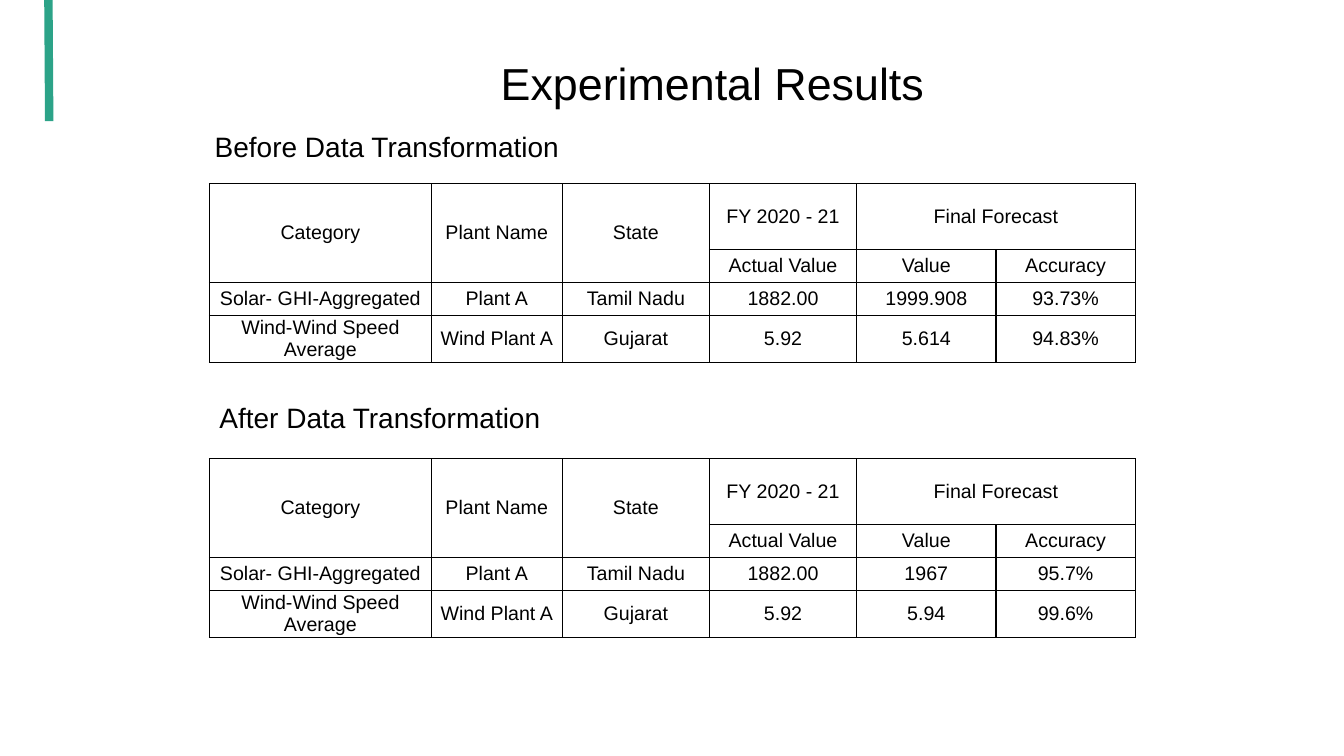
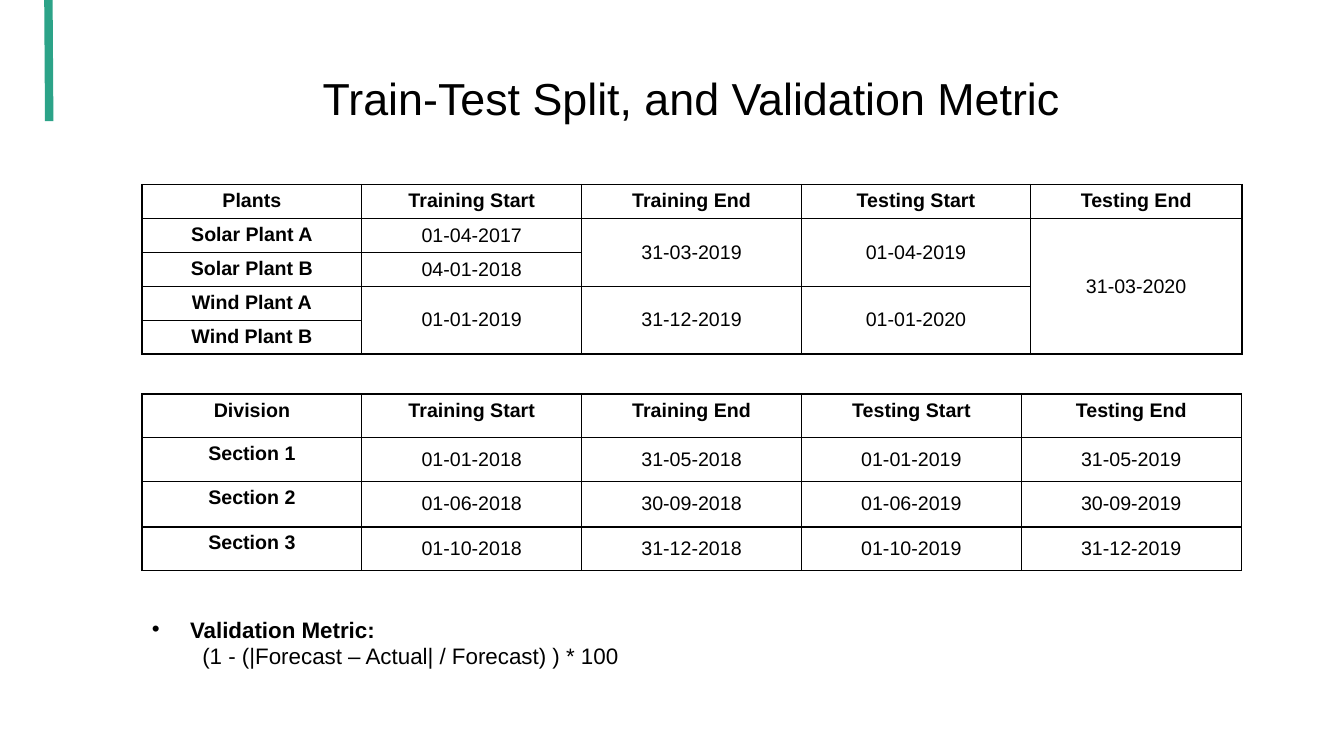
from dataclasses import dataclass

from lxml.etree import SubElement
from pptx import Presentation
from pptx.dml.color import RGBColor
from pptx.enum.shapes import MSO_CONNECTOR
from pptx.enum.text import MSO_ANCHOR, PP_ALIGN
from pptx.oxml.ns import qn
from pptx.util import Cm, Pt

COLORS = {"text": "000000", "border": "000000", "accent": "2CA388"}
FONT = "Arial"
TITLE_SIZE, HEADING_SIZE, BODY_SIZE, CELL_SIZE = 32, 20, 16, 14


@dataclass(frozen=True)
class TableSpec:
    """None marks a cell covered by a merge; a merge is (top, left, bottom, right)."""
    left: float
    top: float
    cols: tuple[float, ...]
    row_heights: tuple[float, ...]
    rows: tuple[tuple[str | None, ...], ...]
    merges: tuple[tuple[int, int, int, int], ...] = ()
    bold_headers: bool = False
    inset_x: float = 0.25
    inset_y: float = 0.13


def results_table(top: float, solar: tuple[str, str], wind: tuple[str, str]) -> TableSpec:
    return TableSpec(
        5.28, top, (5.59, 3.3, 3.71, 3.71, 3.51, 3.51), (1.66, 0.83, 0.83, 0.83),
        (
            ("Category", "Plant Name", "State", "FY 2020 - 21", "Final Forecast", None),
            (None, None, None, "Actual Value", "Value", "Accuracy"),
            ("Solar- GHI-Aggregated", "Plant A", "Tamil Nadu", "1882.00", *solar),
            ("Wind-Wind Speed Average", "Wind Plant A", "Gujarat", "5.92", *wind),
        ),
        merges=((0, 0, 1, 0), (0, 1, 1, 1), (0, 2, 1, 2), (0, 4, 0, 5)),
        inset_x=0.18, inset_y=0,
    )


PERIODS = ("Training Start", "Training End", "Testing Start", "Testing End")

PLANT_SPLIT = TableSpec(
    3.58, 4.65, (5.54, 5.54, 5.54, 5.77, 5.33), (0.85,) * 5,
    (
        ("Plants", *PERIODS),
        ("Solar Plant A", "01-04-2017", "31-03-2019", "01-04-2019", "31-03-2020"),
        ("Solar Plant B", "04-01-2018", None, None, None),
        ("Wind Plant A", "01-01-2019", "31-12-2019", "01-01-2020", None),
        ("Wind Plant B", None, None, None, None),
    ),
    merges=((1, 2, 2, 2), (1, 3, 2, 3), (1, 4, 4, 4),
            (3, 1, 4, 1), (3, 2, 4, 2), (3, 3, 4, 3)),
    bold_headers=True,
)

SECTION_SPLIT = TableSpec(
    3.58, 9.93, (5.54,) * 5, (1.1, 1.1, 1.15, 1.1),
    (
        ("Division", *PERIODS),
        ("Section 1", "01-01-2018", "31-05-2018", "01-01-2019", "31-05-2019"),
        ("Section 2", "01-06-2018", "30-09-2018", "01-06-2019", "30-09-2019"),
        ("Section 3", "01-10-2018", "31-12-2018", "01-10-2019", "31-12-2019"),
    ),
    bold_headers=True,
)


def write(p, text: str, *, size: float, bold: bool = False, align=PP_ALIGN.LEFT,
          color: str = "text") -> None:
    p.alignment = align
    r = p.add_run()
    r.text = text
    r.font.name, r.font.size, r.font.bold = FONT, Pt(size), bold
    r.font.color.rgb = RGBColor.from_string(COLORS[color])


def add_box(slide, left: float, top: float, width: float, height: float):
    tf = slide.shapes.add_textbox(Cm(left), Cm(top), Cm(width), Cm(height)).text_frame
    tf.word_wrap = True
    return tf


def add_line_of_text(slide, text: str, left: float, top: float, width: float,
                     height: float, **style) -> None:
    write(add_box(slide, left, top, width, height).paragraphs[0], text, **style)


def indent(p, left: float, first: float = 0, bullet: str | None = None) -> None:
    pPr = p._p.get_or_add_pPr()
    pPr.set("marL", str(Cm(left)))
    pPr.set("indent", str(Cm(first)))
    if bullet:
        SubElement(pPr, qn("a:buFont"), typeface=FONT)
        SubElement(pPr, qn("a:buChar"), char=bullet)


def add_accent(slide) -> None:
    sp = slide.shapes.add_connector(MSO_CONNECTOR.STRAIGHT, Cm(1.22), Cm(0), Cm(1.24), Cm(3.05))
    sp.line.color.rgb = RGBColor.from_string(COLORS["accent"])
    sp.line.width = Pt(6)
    SubElement(sp._element.spPr, qn("a:effectLst"))


def set_borders(cell) -> None:
    """Outline a cell; the borders must precede its fill in the XML."""
    tcPr = cell._tc.get_or_add_tcPr()
    for i, side in enumerate(("lnL", "lnR", "lnT", "lnB")):
        ln = SubElement(tcPr, qn(f"a:{side}"), w=str(Pt(1)))
        SubElement(SubElement(ln, qn("a:solidFill")), qn("a:srgbClr"), val=COLORS["border"])
        tcPr.insert(i, ln)


def add_table(slide, spec: TableSpec) -> None:
    table = slide.shapes.add_table(
        len(spec.rows), len(spec.cols), Cm(spec.left), Cm(spec.top),
        Cm(sum(spec.cols)), Cm(sum(spec.row_heights))).table
    table.first_row = table.horz_banding = False
    for col, width in zip(table.columns, spec.cols):
        col.width = Cm(width)
    for row, height in zip(table.rows, spec.row_heights):
        row.height = Cm(height)
    for top, left, bottom, right in spec.merges:
        table.cell(top, left).merge(table.cell(bottom, right))
    for i, texts in enumerate(spec.rows):
        for j, text in enumerate(texts):
            cell = table.cell(i, j)
            bold = spec.bold_headers and (i == 0 or j == 0)
            cell.fill.background()
            set_borders(cell)
            cell.margin_left = cell.margin_right = Cm(spec.inset_x)
            cell.margin_top = cell.margin_bottom = Cm(0 if text is None else spec.inset_y)
            cell.vertical_anchor = MSO_ANCHOR.TOP if bold else MSO_ANCHOR.MIDDLE
            if text is not None:
                write(cell.text_frame.paragraphs[0], text, size=CELL_SIZE, bold=bold,
                      align=PP_ALIGN.CENTER)


def new_slide(prs, title: str, left: float, top: float, width: float, align=PP_ALIGN.LEFT):
    slide = prs.slides.add_slide(prs.slide_layouts[6])
    add_accent(slide)
    add_line_of_text(slide, title, left, top, width, 1.62, size=TITLE_SIZE, align=align)
    return slide


def build_results(prs) -> None:
    slide = new_slide(prs, "Experimental Results", 12.37, 1.27, 14.43)
    add_line_of_text(slide, "Before Data Transformation", 5.16, 3.15, 14.43, 1.11,
                     size=HEADING_SIZE)
    add_table(slide, results_table(4.63, ("1999.908", "93.73%"), ("5.614", "94.83%")))
    add_line_of_text(slide, "After Data Transformation", 5.28, 9.98, 14.43, 1.11,
                     size=HEADING_SIZE)
    add_table(slide, results_table(11.56, ("1967", "95.7%"), ("5.94", "99.6%")))


def build_split(prs) -> None:
    slide = new_slide(prs, "Train-Test Split, and Validation Metric", 6.93, 1.65, 21,
                      PP_ALIGN.CENTER)
    add_table(slide, PLANT_SPLIT)
    add_table(slide, SECTION_SPLIT)
    tf = add_box(slide, 3.58, 15.39, 20.55, 1.62)
    p = tf.paragraphs[0]
    write(p, "Validation Metric:", size=BODY_SIZE, bold=True)
    indent(p, 0.96, -0.96, "•")
    p = tf.add_paragraph()
    p.level = 1
    write(p, "(1 - (|Forecast – Actual| / Forecast) ) * 100", size=BODY_SIZE)
    indent(p, 1.27)


def main() -> None:
    prs = Presentation()
    prs.slide_width, prs.slide_height = Cm(33.87), Cm(19.05)
    build_results(prs)
    build_split(prs)
    prs.save("out.pptx")


if __name__ == "__main__":
    main()
